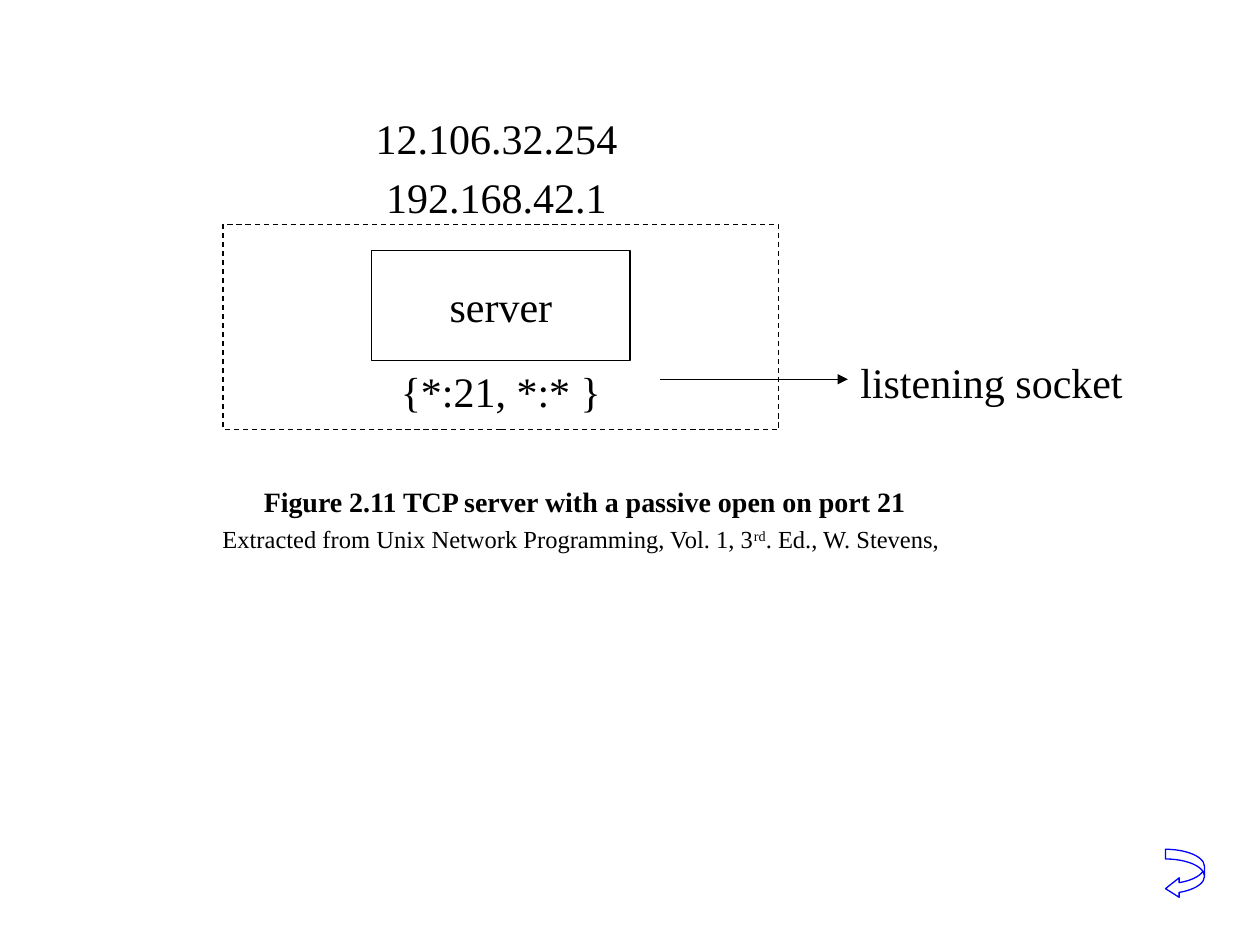
from lxml.etree import SubElement
from pptx import Presentation
from pptx.dml.color import RGBColor
from pptx.enum.dml import MSO_LINE
from pptx.enum.shapes import MSO_CONNECTOR, MSO_SHAPE
from pptx.enum.text import MSO_ANCHOR, PP_ALIGN
from pptx.oxml.ns import qn
from pptx.util import Inches, Pt

COLORS = {"ink": "000000", "link": "0000FF"}
FONT = "Times New Roman"


def set_line(line, color="ink"):
    line.color.rgb = RGBColor.from_string(COLORS[color])
    line.width = Pt(0.75)


def write(tf, runs, size, bold=False):
    p = tf.paragraphs[0]
    p.alignment = PP_ALIGN.CENTER
    for text, baseline in runs:
        r = p.add_run()
        r.text = text
        for name, value in {"name": FONT, "size": Pt(size), "bold": bold}.items():
            setattr(r.font, name, value)
        r.font.color.rgb = RGBColor.from_string(COLORS["ink"])
        if baseline:
            r.font._element.set("baseline", str(baseline))


def add_label(s, box, runs, size=24, bold=False):
    tf = s.shapes.add_textbox(*map(Inches, box)).text_frame
    tf.word_wrap = True
    write(tf, runs, size, bold)


def add_outline(s, kind, box, color="ink"):
    sp = s.shapes.add_shape(kind, *map(Inches, box))
    sp.shadow.inherit = False
    sp.fill.background()
    set_line(sp.line, color)
    return sp


def add_arrow(s, start, end):
    c = s.shapes.add_connector(MSO_CONNECTOR.STRAIGHT, *map(Inches, start + end))
    set_line(c.line)
    SubElement(c.line._get_or_add_ln(), qn("a:tailEnd"), type="triangle")
    SubElement(c._element.spPr, qn("a:effectLst"))


def add_host(s, x, y, w, h):
    for i, address in enumerate(["12.106.32.254", "192.168.42.1"]):
        add_label(s, (x + 0.95, y - 0.94 + 0.47 * i, 2.44, 0.5), [(address, 0)])
    add_outline(s, MSO_SHAPE.RECTANGLE, (x, y, w, h)).line.dash_style = MSO_LINE.DASH
    server = add_outline(s, MSO_SHAPE.RECTANGLE, (x + 1.18, y + 0.21, 2.05, 0.87))
    server.text_frame.word_wrap = False
    server.text_frame.vertical_anchor = MSO_ANCHOR.MIDDLE
    write(server.text_frame, [("server", 0)], 24)
    add_label(s, (x + 1.18, y + 1.07, 2.05, 0.5), [("{*:21, *:* }", 0)])
    arrow_y = y + 1.23
    add_arrow(s, (x + 3.47, arrow_y), (x + 4.96, arrow_y))
    add_label(s, (x + 4.88, y + 1, 2.44, 0.5), [("listening socket", 0)])


def add_caption(s, x, y, w):
    title = "Figure 2.11 TCP server with a passive open on port 21"
    add_label(s, (x, y, w, 0.37), [(title, 0)], 16, True)
    source = [("Extracted from Unix Network Programming, Vol. 1, 3", 0),
              ("rd", 30000), (". Ed., W. Stevens,", 0)]
    add_label(s, (x - 0.05, y + 0.31, w + 0.04, 0.34), source, 14)


def add_return_arrow(s, x, y, w, h):
    sp = add_outline(s, MSO_SHAPE.CURVED_LEFT_ARROW, (x, y, w, h), "link")
    for i, value in enumerate([0.25, 0.5, 0.35]):
        sp.adjustments[i] = value


def main():
    prs = Presentation()
    prs.slide_width, prs.slide_height = Inches(10), Inches(7.5)
    s = prs.slides.add_slide(prs.slide_layouts[6])
    add_host(s, 1.77, 1.78, 4.41, 1.63)
    add_caption(s, 1.61, 3.8, 6.06)
    add_return_arrow(s, 9.25, 6.74, 0.31, 0.39)
    prs.save("out.pptx")


if __name__ == "__main__":
    main()
